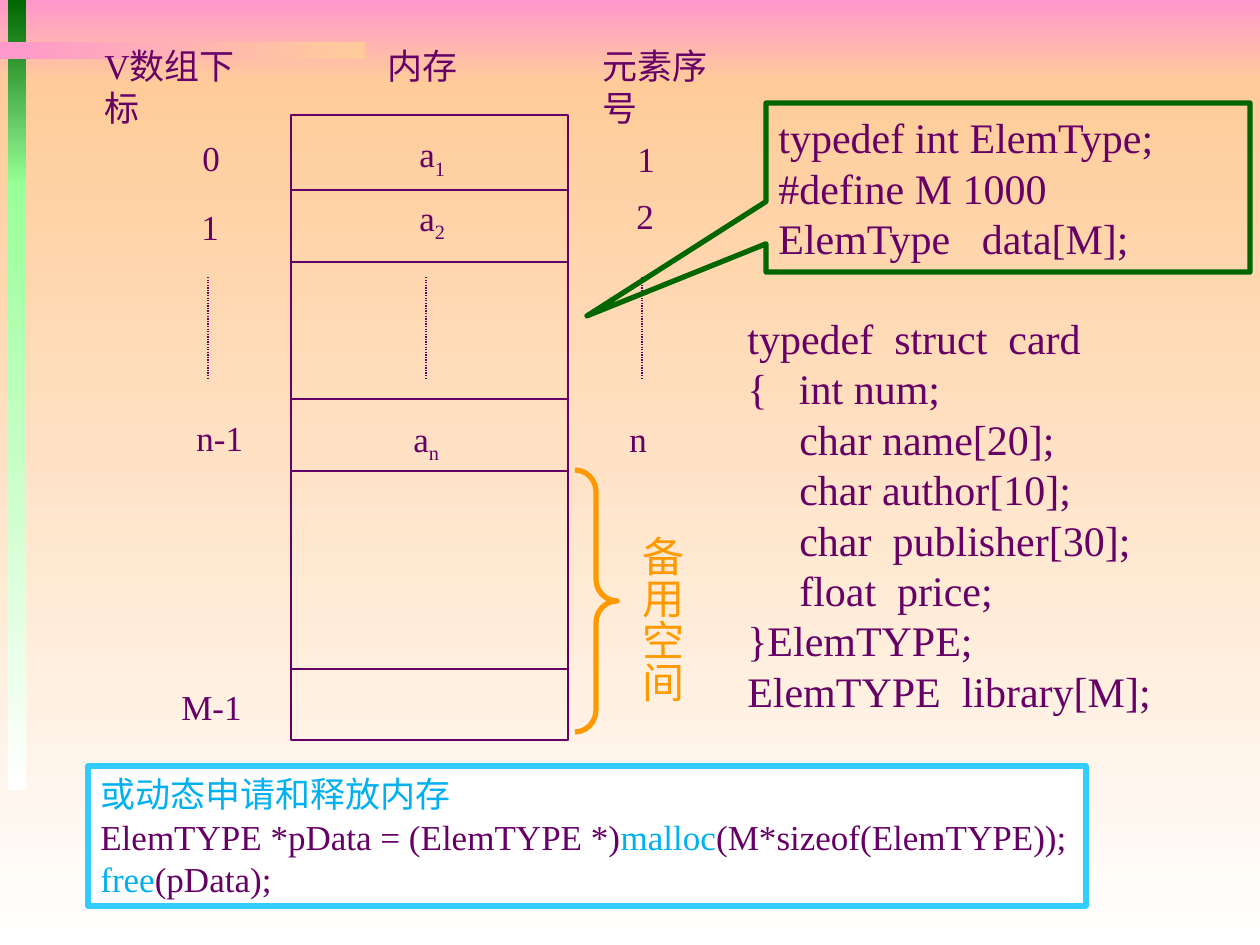
from lxml import etree
from pptx import Presentation
from pptx.dml.color import RGBColor
from pptx.enum.dml import MSO_LINE
from pptx.enum.shapes import MSO_CONNECTOR, MSO_SHAPE
from pptx.enum.text import MSO_ANCHOR, PP_ALIGN
from pptx.oxml.ns import qn
from pptx.util import Pt

PX = 914400 / 126
FONT = "Times New Roman"
RECT, CALLOUT, BRACE = MSO_SHAPE.RECTANGLE, MSO_SHAPE.RECTANGULAR_CALLOUT, MSO_SHAPE.RIGHT_BRACE
STRAIGHT, DOTTED = MSO_CONNECTOR.STRAIGHT, MSO_LINE.ROUND_DOT
TOP, MIDDLE, LEFT = MSO_ANCHOR.TOP, MSO_ANCHOR.MIDDLE, PP_ALIGN.LEFT
COLORS = {
    "purple": "660066", "pink": "FF99CC", "peach": "FFCC99", "white": "FFFFFF",
    "green": "006600", "mint": "99FF99", "orange": "FF9900", "sky": "33CCFF", "blue": "00B0F0",
}


def px(*lengths):
    return [round(length * PX) for length in lengths]


def rgb(color):
    return RGBColor.from_string(COLORS[color])


def add_outline(slide, preset, box, color, weight, fill=None):
    shape = slide.shapes.add_shape(preset, *px(*box))
    shape.shadow.inherit = False
    if fill:
        shape.fill.solid()
        shape.fill.fore_color.rgb = rgb(fill)
    else:
        shape.fill.background()
    shape.line.color.rgb = rgb(color)
    shape.line.width = Pt(weight)
    return shape


def add_gradient(slide, box, start, end, angle):
    band = slide.shapes.add_shape(RECT, *px(*box))
    band.shadow.inherit = False
    band.line.fill.background()
    band.fill.gradient()
    band.fill.gradient_angle = angle
    for stop, color in zip(band.fill.gradient_stops, (start, end)):
        stop.color.rgb = rgb(color)


def add_line(slide, start, end, dash=None):
    line = slide.shapes.add_connector(STRAIGHT, *px(*start, *end))
    line.line.color.rgb = rgb("purple")
    line.line.width = Pt(0.75)
    if dash:
        line.line.dash_style = dash
    etree.SubElement(line._element.spPr, qn("a:effectLst"))


def write(frame, paragraphs, size, wrap=False, anchor=TOP):
    frame.word_wrap = wrap
    frame.vertical_anchor = anchor
    for index, runs in enumerate(paragraphs):
        paragraph = frame.add_paragraph() if index else frame.paragraphs[0]
        paragraph.alignment = LEFT
        for text, color in runs:
            run = paragraph.add_run()
            run.text = text
            run.font.name = FONT
            run.font.size = Pt(size)
            run.font.color.rgb = rgb(color)


def add_label(slide, box, text, subscript="", wrap=False):
    label = slide.shapes.add_textbox(*px(*box))
    runs = [(text, "purple")] + ([(subscript, "purple")] if subscript else [])
    write(label.text_frame, [runs], 20, wrap)
    if subscript:
        label.text_frame.paragraphs[0].runs[1].font._element.set("baseline", "-25000")


def build_background(slide, width, height):
    add_gradient(slide, (0, 0, width, 84), "pink", "peach", 270)
    add_gradient(slide, (0, 84, width, height - 84), "peach", "white", 270)
    add_gradient(slide, (8, 0, 18, 186), "green", "mint", 270)
    add_gradient(slide, (8, 184, 18, 606), "mint", "white", 270)
    add_gradient(slide, (0, 42, 365, 17), "pink", "peach", 0)


def build_memory_diagram(slide, left, top):
    memory_left, memory_top, memory_width = left + 199, top + 77, 277
    add_outline(slide, RECT, (memory_left, memory_top, memory_width, 625), "purple", 0.75)
    for offset in (75, 147, 284, 356, 554):
        y = memory_top + offset
        add_line(slide, (memory_left, y), (memory_left + memory_width, y))
    for x in (116, 334, 550):
        add_line(slide, (left + x, top + 239), (left + x, top + 341), DOTTED)

    add_label(slide, (left, top, 190, 54), "V数组下标", wrap=True)
    labels = [
        (283, 0, 96, "内存", ""), (498, 0, 165, "元素序号", ""),
        (98, 92, 43, "0", ""), (97, 161, 43, "1", ""),
        (92, 372, 72, "n-1", ""), (77, 641, 86, "M-1", ""),
        (315, 88, 53, "a", "1"), (315, 152, 53, "a", "2"), (309, 373, 53, "a", "n"),
        (533, 93, 43, "1", ""), (532, 150, 43, "2", ""), (525, 373, 43, "n", ""),
    ]
    for x, y, width, text, subscript in labels:
        add_label(slide, (left + x, top + y, width, 54), text, subscript)


def build_spare_space(slide, left, top):
    brace = add_outline(slide, BRACE, (left, top, 42, 262), "orange", 3)
    brace.adjustments[0] = 0.52
    caption = slide.shapes.add_textbox(*px(left + 42, top + 53, 76, 195))
    write(caption.text_frame, [[("备用空间", "orange")]], 24, wrap=True)
    caption.text_frame._txBody.bodyPr.set("vert", "eaVert")


def build_array_callout(slide, left, top, width, height):
    callout = add_outline(slide, CALLOUT, (left, top, width, height), "green", 3)
    callout.adjustments[0] = -0.87
    callout.adjustments[1] = 0.76
    declarations = ["typedef int ElemType; #define M 1000", "ElemType   data[M];"]
    write(callout.text_frame, [[(text, "purple")] for text in declarations], 24, True, MIDDLE)


def build_struct_code(slide, left, top, width, height):
    code = slide.shapes.add_textbox(*px(left, top, width, height))
    fields = ["char name[20];", "char author[10];", "char  publisher[30];", "float  price;"]
    lines = ["typedef  struct  card", "{   int num;", *fields, "}ElemTYPE;", "ElemTYPE  library[M];"]
    write(code.text_frame, [[(text, "purple")] for text in lines], 24, anchor=MIDDLE)
    for paragraph in code.text_frame.paragraphs[2:2 + len(fields)]:
        properties = paragraph._p.get_or_add_pPr()
        properties.set("marL", str(px(52)[0]))
        properties.set("indent", "0")


def build_dynamic_memory(slide, left, top, width, height):
    panel = add_outline(slide, RECT, (left, top, width, height), "sky", 3, "white")
    write(panel.text_frame, [
        [("或动态申请和释放内存", "blue")],
        [("ElemTYPE *pData = (ElemTYPE *)", "purple"), ("malloc", "blue"),
         ("(M*sizeof(ElemTYPE));", "purple")],
        [("free", "blue"), ("(pData);", "purple")],
    ], 20, anchor=MIDDLE)


def main():
    width, height = 1260, 945
    presentation = Presentation()
    presentation.slide_width, presentation.slide_height = px(width, height)
    slide = presentation.slides.add_slide(presentation.slide_layouts[6])
    build_background(slide, width, height)
    build_memory_diagram(slide, 92, 38)
    build_array_callout(slide, 766, 103, 484, 169)
    build_struct_code(slide, 735, 304, 444, 420)
    build_spare_space(slide, 575, 470)
    build_dynamic_memory(slide, 88, 766, 998, 140)
    presentation.save("out.pptx")


if __name__ == "__main__":
    main()
